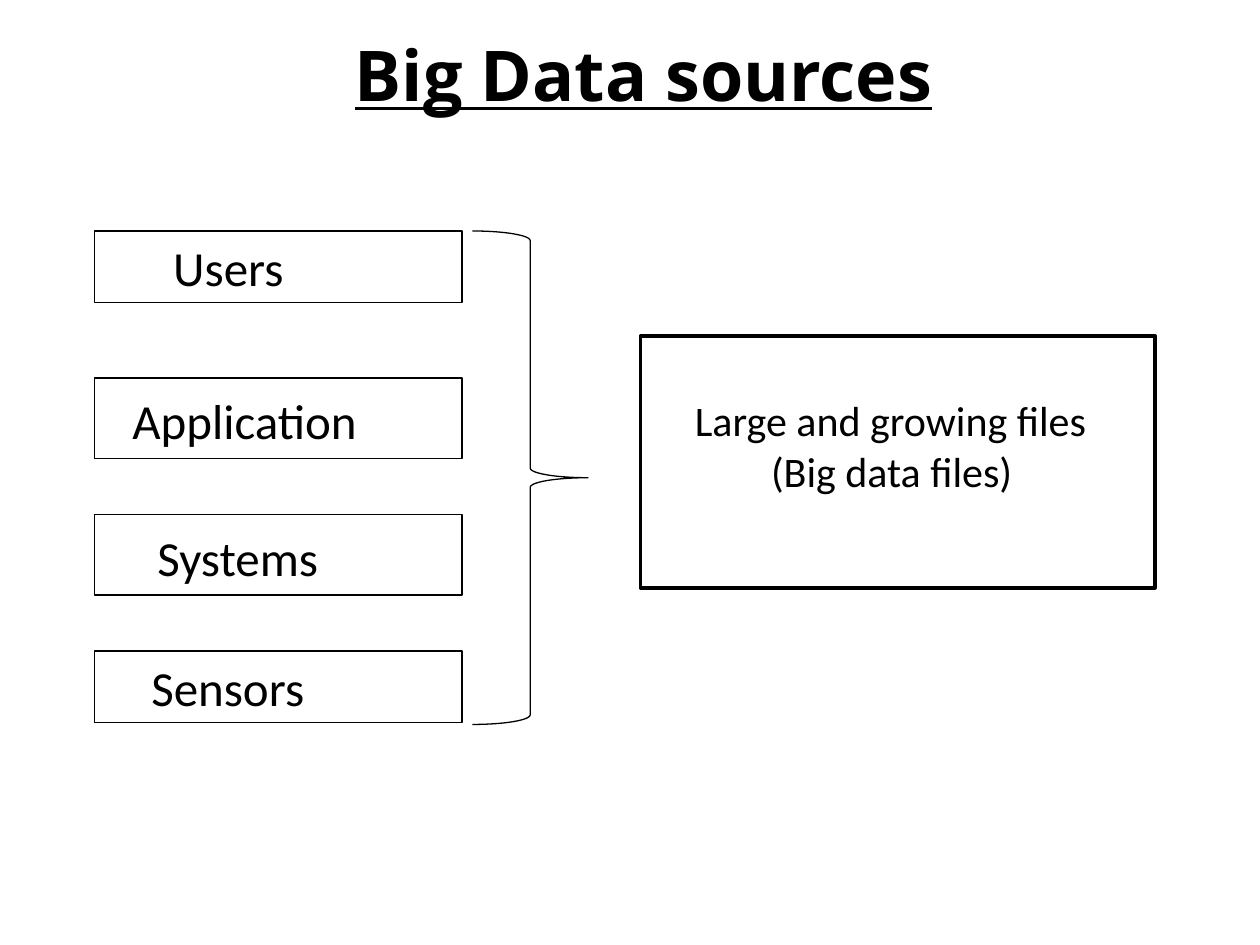
import pptx
import pptx.util
import pptx.dml.color
import pptx.enum.shapes
import pptx.enum.text

Pt = pptx.util.Pt
Shape = pptx.enum.shapes.MSO_SHAPE
Anchor = pptx.enum.text.MSO_ANCHOR
Align = pptx.enum.text.PP_ALIGN
BLACK = pptx.dml.color.RGBColor(0, 0, 0)
WHITE = pptx.dml.color.RGBColor(255, 255, 255)

# Sources: label, top, height, left inset, top inset
SOURCES = [
    ("Users", 132, 41, 45, 3.6),
    ("Application", 216, 46, 21.7, 7.4),
    ("Systems", 294, 46, 36, 7.4),
    ("Sensors", 372, 41, 32.5, 3.6),
]


def add_outline(page, kind, left, top, width, height, weight, fill=None):
    shape = page.shapes.add_shape(kind, Pt(left), Pt(top), Pt(width), Pt(height))
    shape.shadow.inherit = False
    if fill is None:
        shape.fill.background()
    else:
        shape.fill.solid()
        shape.fill.fore_color.rgb = fill
    shape.line.color.rgb = BLACK
    shape.line.width = Pt(weight)
    return shape


def write_lines(box, lines, size, name="Calibri", align=Align.LEFT):
    frame = box.text_frame
    frame.word_wrap = True
    frame.text = "\n".join(lines)
    for para in frame.paragraphs:
        para.alignment = align
        para.font.size = Pt(size)
        para.font.name = name
        para.font.color.rgb = BLACK
    return frame


def add_text(page, left, top, width, height, lines, size, **style):
    box = page.shapes.add_textbox(Pt(left), Pt(top), Pt(width), Pt(height))
    return write_lines(box, lines, size, **style)


def add_source(page, label, top, height, left_inset, top_inset):
    box = add_outline(page, Shape.RECTANGLE, 54, top, 210, height, 0.75, WHITE)
    frame = write_lines(box, [label], 28)
    frame.vertical_anchor = Anchor.TOP
    frame.margin_left = Pt(left_inset)
    frame.margin_top = Pt(top_inset)


def main():
    deck = pptx.Presentation()
    deck.slide_width, deck.slide_height = Pt(720), Pt(540)
    page = deck.slides.add_slide(deck.slide_layouts[6])

    # Title, set slightly right of its box's centre
    title = add_text(page, 156, 12, 414, 60, ["Big Data sources"], 40,
                     name="Open Sans", align=Align.CENTER)
    title.vertical_anchor = Anchor.MIDDLE
    title.margin_left = Pt(16.5)
    title.paragraphs[0].font.bold = True
    title.paragraphs[0].font.underline = True

    # Sources and the brace that gathers them
    for source in SOURCES:
        add_source(page, *source)
    add_outline(page, Shape.RIGHT_BRACE, 270, 132, 66, 282, 0.75)

    # Resulting files
    add_outline(page, Shape.RECTANGLE, 366, 192, 294, 144, 2, WHITE)
    result = add_text(page, 390, 222, 264, 65.5,
                      ["Large and growing files", "(Big data files)"], 24)
    # Second line is indented under the first
    result.paragraphs[1]._p.get_or_add_pPr().set("marL", str(Pt(43.5)))

    deck.save("out.pptx")


if __name__ == "__main__":
    main()
